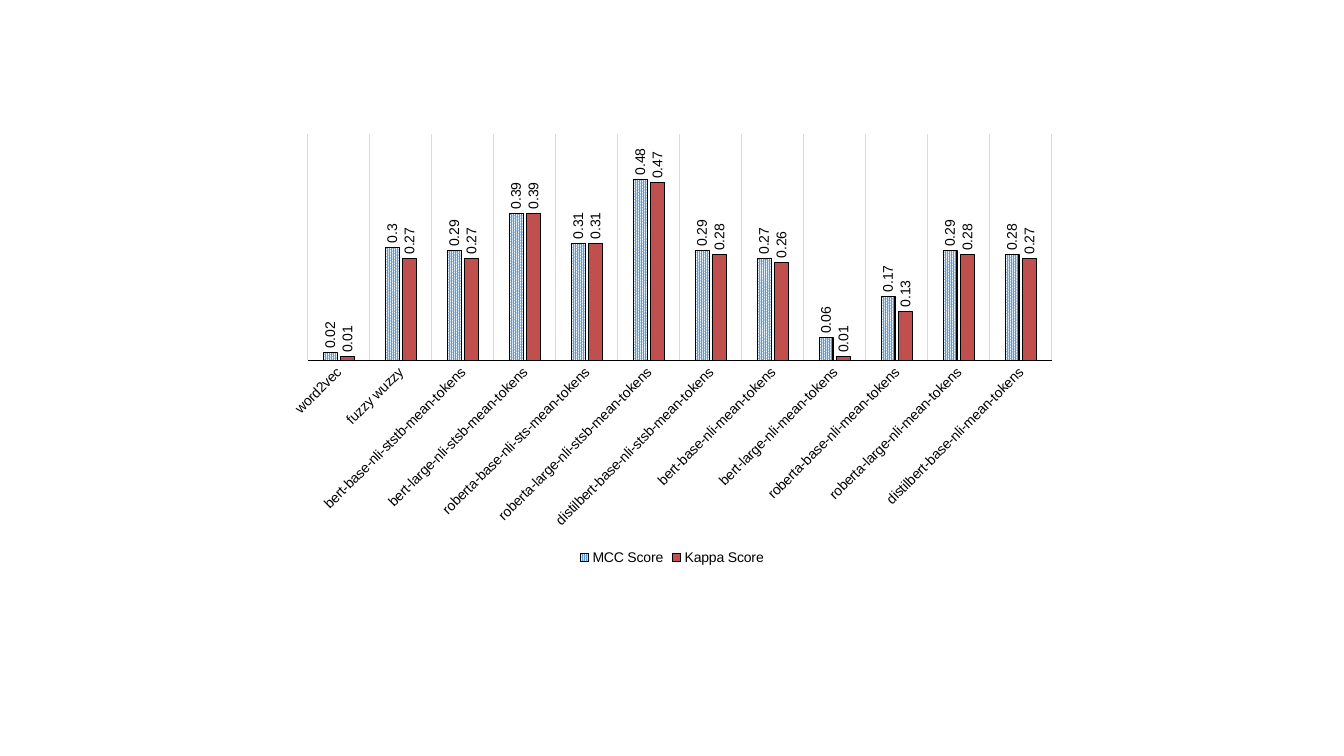
from lxml import etree
from pptx import Presentation
from pptx import util as u
from pptx.chart import data as chart_data
from pptx.dml.color import RGBColor
from pptx.enum import chart as ec
from pptx.enum import dml
from pptx.oxml.ns import qn

MODELS = [
    "word2vec",
    "fuzzy wuzzy",
    "bert-base-nli-ststb-mean-tokens",
    "bert-large-nli-stsb-mean-tokens",
    "roberta-base-nli-sts-mean-tokens",
    "roberta-large-nli-stsb-mean-tokens",
    "distilbert-base-nli-stsb-mean-tokens",
    "bert-base-nli-mean-tokens",
    "bert-large-nli-mean-tokens",
    "roberta-base-nli-mean-tokens",
    "roberta-large-nli-mean-tokens",
    "distilbert-base-nli-mean-tokens",
]
SCORES = {
    "MCC Score": [0.02, 0.3, 0.29, 0.39, 0.31, 0.48, 0.29, 0.27, 0.06, 0.17, 0.29, 0.28],
    "Kappa Score": [0.01, 0.27, 0.27, 0.39, 0.31, 0.47, 0.28, 0.26, 0.01, 0.13, 0.28, 0.27],
}
# Foreground and, for a patterned fill, background
FILLS = {"MCC Score": ("5B9BD5", "FFFFFF"), "Kappa Score": ("C0504D", None)}


def rgb(code):
    return RGBColor.from_string(code)


def rotate_text(chart, tag, degrees):
    """Turn the text of every chart part with the given tag."""
    for part in chart.element.iter(qn(tag)):
        body = part.find(qn("c:txPr")).find(qn("a:bodyPr"))
        body.set("rot", str(degrees * 60000))
        body.set("vert", "horz")


def place_plot(chart, x, y, w, h):
    """Fix the inner plot area, in fractions of the chart."""
    plot_area = chart.element.find(".//" + qn("c:plotArea"))
    for old_layout in plot_area.findall(qn("c:layout")):
        plot_area.remove(old_layout)
    layout = etree.Element(qn("c:layout"))
    manual = etree.SubElement(layout, qn("c:manualLayout"))
    settings = {"layoutTarget": "inner", "xMode": "edge", "yMode": "edge",
                "x": x, "y": y, "w": w, "h": h}
    for tag, value in settings.items():
        etree.SubElement(manual, qn("c:" + tag)).set("val", str(value))
    plot_area.insert(0, layout)


class ScoreSlide:
    font_name, font_size, ink, grid = "Arial", 10, "000000", "D9D9D9"

    def __init__(self, deck):
        self.slide = deck.slides.add_slide(deck.slide_layouts[6])

    def style_font(self, font):
        font.name = self.font_name
        font.size = u.Pt(self.font_size)
        font.bold = False
        font.color.rgb = rgb(self.ink)

    def style_line(self, line, color):
        line.color.rgb = rgb(color)
        line.width = u.Pt(0.75)

    def style_series(self, series):
        foreground, background = FILLS[series.name]
        fill = series.format.fill
        if background:
            fill.patterned()
            fill.pattern = dml.MSO_PATTERN.PERCENT_90
            fill.back_color.rgb = rgb(background)
        else:
            fill.solid()
        fill.fore_color.rgb = rgb(foreground)
        series.invert_if_negative = False
        self.style_line(series.format.line, self.ink)

        labels = series.data_labels
        labels.show_value = True
        labels.position = ec.XL_LABEL_POSITION.OUTSIDE_END
        labels.number_format = "General"
        labels.number_format_is_linked = False
        self.style_font(labels.font)

    def style_axes(self, chart):
        models = chart.category_axis
        models.major_tick_mark = models.minor_tick_mark = ec.XL_TICK_MARK.NONE
        models.has_major_gridlines = True
        self.style_line(models.major_gridlines.format.line, self.grid)
        self.style_line(models.format.line, self.ink)
        self.style_font(models.tick_labels.font)

        scores = chart.value_axis
        scores.minimum_scale, scores.maximum_scale = 0, 0.6
        scores.has_major_gridlines = False
        scores.visible = False

    def column_chart(self, left, top, width, height):
        data = chart_data.CategoryChartData()
        data.categories = MODELS
        for name, values in SCORES.items():
            data.add_series(name, values)
        chart = self.slide.shapes.add_chart(
            ec.XL_CHART_TYPE.COLUMN_CLUSTERED, u.Inches(left), u.Inches(top),
            u.Inches(width), u.Inches(height), data).chart
        self.style_font(chart.font)
        chart.has_title = False
        chart.has_legend = True
        chart.legend.position = ec.XL_LEGEND_POSITION.BOTTOM
        chart.legend.include_in_layout = False
        self.style_font(chart.legend.font)

        plot = chart.plots[0]
        plot.gap_width, plot.overlap = 225, -27
        plot.vary_by_categories = False
        for series in plot.series:
            self.style_series(series)
        self.style_axes(chart)
        rotate_text(chart, "c:dLbls", -90)
        rotate_text(chart, "c:catAx", -45)
        place_plot(chart, 0.04, 0.02, 0.94, 0.51)


def main():
    deck = Presentation()
    deck.slide_width, deck.slide_height = u.Inches(13.33), u.Inches(7.5)
    ScoreSlide(deck).column_chart(2.74, 1.24, 7.85, 4.41)
    deck.save("out.pptx")


if __name__ == "__main__":
    main()
